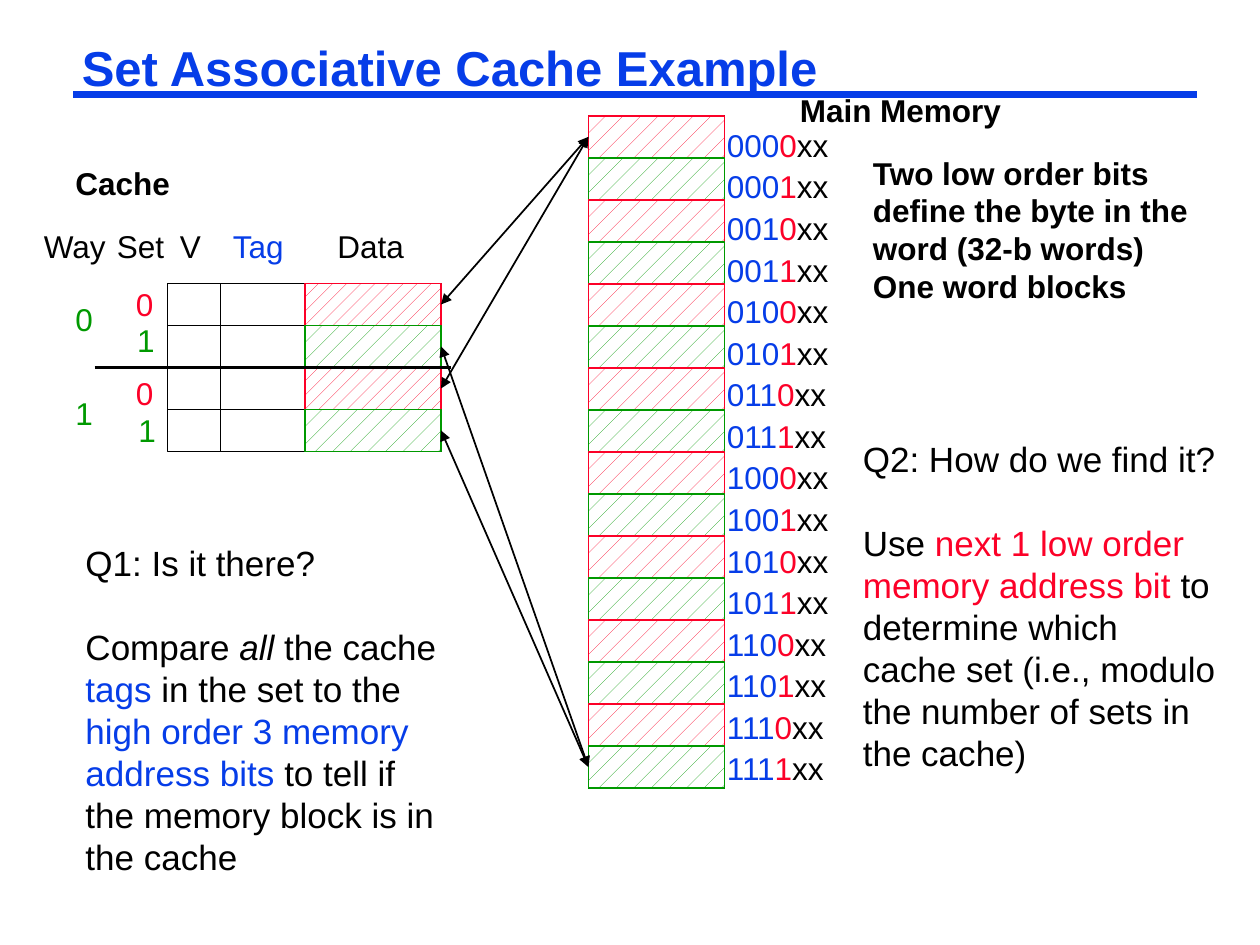
from typing import NamedTuple

from lxml.etree import SubElement
from pptx import Presentation
from pptx.dml.color import RGBColor
from pptx.enum.dml import MSO_PATTERN
from pptx.enum.shapes import MSO_CONNECTOR, MSO_SHAPE
from pptx.enum.text import MSO_ANCHOR, MSO_AUTO_SIZE, PP_ALIGN
from pptx.oxml.ns import qn
from pptx.util import Inches, Pt

BLUE = RGBColor(0x06, 0x3D, 0xE8)
RED = RGBColor(0xFC, 0x01, 0x28)
GREEN = RGBColor(0x00, 0x99, 0x00)
BLACK = RGBColor(0x00, 0x00, 0x00)
WHITE = RGBColor(0xFF, 0xFF, 0xFF)
SET_COLORS = (RED, GREEN)

FONT = "Arial"
LEADING = 1.2
ROW = 1 / 3
CACHE_TOP, CACHE_ROWS = 2.25, 4
MEMORY_TOP, MEMORY_ROWS = 0.92, 16
MEMORY_LEFT, MEMORY_RIGHT = 4.67, 5.75
DATA_LEFT, DATA_RIGHT = 2.42, 3.5
CELL_WIDTH = 1.08


class Span(NamedTuple):
    text: str
    color: RGBColor = BLACK
    bold: bool = False
    italic: bool = False


class Label(NamedTuple):
    left: float
    top: float
    width: float
    span: Span


class Arrow(NamedTuple):
    memory_row: int
    cache_row: int


def fill_para(para, spans: list[Span], size: float, spacing: float = 1.0) -> None:
    para.line_spacing = Pt(round(size * LEADING * spacing, 2))
    for part in spans:
        span = para.add_run()
        span.text = part.text
        font = span.font
        font.name, font.size = FONT, Pt(size)
        font.bold, font.italic = part.bold, part.italic
        font.color.rgb = part.color


def add_text(page, left: float, top: float, width: float, height: float,
             paras: list[list[Span]], size: float = 18, spacing: float = 1.0,
             gap: float = 0, wrap: bool = True) -> None:
    box = page.shapes.add_textbox(Inches(left), Inches(top), Inches(width), Inches(height))
    frame = box.text_frame
    frame.word_wrap = wrap
    frame.auto_size = MSO_AUTO_SIZE.SHAPE_TO_FIT_TEXT
    for index, spans in enumerate(paras):
        para = frame.add_paragraph() if index else frame.paragraphs[0]
        if index and gap:
            para.space_before = Pt(gap)
        fill_para(para, spans, size, spacing)


def add_line(page, x1: float, y1: float, x2: float, y2: float, color: RGBColor = BLACK,
             weight: float = 1, arrows: bool = False) -> None:
    line = page.shapes.add_connector(MSO_CONNECTOR.STRAIGHT, Inches(x1), Inches(y1),
                                     Inches(x2), Inches(y2))
    line.line.color.rgb = color
    line.line.width = Pt(weight)
    if arrows:
        outline = line.line._get_or_add_ln()
        for end in ("a:headEnd", "a:tailEnd"):
            SubElement(outline, qn(end), type="triangle")
    SubElement(line._element.spPr, qn("a:effectLst"))


def add_rect(page, left: float, top: float, width: float, height: float, color: RGBColor):
    rect = page.shapes.add_shape(MSO_SHAPE.RECTANGLE, Inches(left), Inches(top),
                                 Inches(width), Inches(height))
    rect.shadow.inherit = False
    rect.fill.background()
    rect.line.color.rgb = color
    rect.line.width = Pt(1)
    return rect


def add_cells(page, left: float, top: float, rows: int, red_pattern) -> None:
    """Stack hatched words, red for set 0 and green for set 1."""
    for row in range(rows):
        color = SET_COLORS[row % 2]
        cell = add_rect(page, left, top + row * ROW, CELL_WIDTH, ROW, color)
        cell.fill.patterned()
        cell.fill.pattern = MSO_PATTERN.PERCENT_5 if row % 2 else red_pattern
        cell.fill.fore_color.rgb = color
        cell.fill.back_color.rgb = WHITE


def add_title(page) -> None:
    title = page.shapes.title
    title.left, title.top = Inches(0.58), Inches(0.33)
    title.width, title.height = Inches(8.92), Inches(0.46)
    frame = title.text_frame
    frame.auto_size = MSO_AUTO_SIZE.NONE
    frame.vertical_anchor = MSO_ANCHOR.TOP
    frame.margin_left = frame.margin_right = Inches(0.07)
    frame.margin_top = frame.margin_bottom = Inches(0.03)
    para = frame.paragraphs[0]
    para.alignment = PP_ALIGN.LEFT
    fill_para(para, [Span("Set Associative Cache Example", BLUE, True)], 28, 0.87)


def add_cache(page) -> None:
    edges = (1.33, 1.75, DATA_LEFT, DATA_RIGHT)
    for left, right in zip(edges, edges[1:]):
        add_rect(page, left, CACHE_TOP, right - left, CACHE_ROWS * ROW, BLACK)
        for row in range(1, CACHE_ROWS):
            y = CACHE_TOP + row * ROW
            add_line(page, left, y, right, y)
    add_cells(page, DATA_LEFT, CACHE_TOP, CACHE_ROWS, MSO_PATTERN.PERCENT_10)
    middle = CACHE_TOP + CACHE_ROWS / 2 * ROW
    add_line(page, 0.75, middle, 3.58, middle, weight=2.25)


def add_memory(page) -> None:
    bottom = MEMORY_TOP + MEMORY_ROWS * ROW
    for row in range(MEMORY_ROWS + 1):
        y = MEMORY_TOP + row * ROW
        add_line(page, MEMORY_LEFT, y, MEMORY_RIGHT, y)
    for x in (MEMORY_LEFT, MEMORY_RIGHT):
        add_line(page, x, MEMORY_TOP, x, bottom)
    add_cells(page, MEMORY_LEFT, MEMORY_TOP, MEMORY_ROWS, MSO_PATTERN.PERCENT_5)
    addresses = [[Span(f"{row // 2:03b}", BLUE), Span(str(row % 2), RED), Span("xx")]
                 for row in range(MEMORY_ROWS)]
    add_text(page, 5.67, 0.92, 1.08, 5.38, addresses, spacing=1.1)


LABELS = [
    Label(0.5, 1.25, 0.95, Span("Cache", bold=True)),
    Label(6.25, 0.67, 1.8, Span("Main Memory", bold=True)),
    # Column headings
    Label(0.25, 1.75, 0.7, Span("Way")),
    Label(0.83, 1.75, 0.58, Span("Set")),
    Label(1.33, 1.75, 0.37, Span("V")),
    Label(1.75, 1.75, 0.63, Span("Tag", BLUE)),
    Label(2.58, 1.75, 0.73, Span("Data")),
    # Way and set numbers
    Label(0.5, 2.33, 0.34, Span("0", GREEN)),
    Label(0.5, 3.08, 0.34, Span("1", GREEN)),
    Label(0.98, 2.21, 0.34, Span("0", RED)),
    Label(0.99, 2.5, 0.34, Span("1", GREEN)),
    Label(0.98, 2.92, 0.34, Span("0", RED)),
    Label(1.0, 3.21, 0.34, Span("1", GREEN)),
]
ARROWS = [Arrow(0, 0), Arrow(0, 2), Arrow(15, 3), Arrow(15, 1)]
QUESTION_1 = [
    [Span("Q1: Is it there?")],
    [Span("Compare "), Span("all", italic=True), Span(" the cache "), Span("tags", BLUE),
     Span(" in the set to the "), Span("high order 3 memory address bits", BLUE),
     Span(" to tell if the memory block is in the cache")],
]
QUESTION_2 = [
    [Span("Q2: How do we find it?")],
    [Span("Use"), Span(" next 1 low order memory address bit", RED),
     Span(" to determine which cache set (i.e., modulo the number of sets in the cache)")],
]
WORD_NOTE = [
    [Span("Two low order bits define the byte in the word (32-b words)", bold=True)],
    [Span("One word blocks", bold=True)],
]


def main() -> None:
    deck = Presentation()
    deck.slide_width, deck.slide_height = Inches(10), Inches(7.5)
    page = deck.slides.add_slide(deck.slide_layouts[5])

    # Heading
    add_line(page, 0.58, 0.75, 9.5, 0.75, BLUE, 4.5)
    add_title(page)

    # Cache, main memory and the links between them
    add_cache(page)
    add_memory(page)
    for arrow in ARROWS:
        add_line(page, MEMORY_LEFT, MEMORY_TOP + (arrow.memory_row + 0.5) * ROW,
                 DATA_RIGHT, CACHE_TOP + (arrow.cache_row + 0.5) * ROW, arrows=True)

    # Labels and notes
    for label in LABELS:
        add_text(page, label.left, label.top, label.width, 0.4, [[label.span]], wrap=False)
    add_text(page, 6.83, 1.17, 2.75, 1.3, WORD_NOTE)
    add_text(page, 0.58, 4.25, 3.08, 2.77, QUESTION_1, size=20, gap=24)
    add_text(page, 6.75, 3.42, 3, 2.77, QUESTION_2, size=20, gap=24)

    deck.save("out.pptx")


if __name__ == "__main__":
    main()
